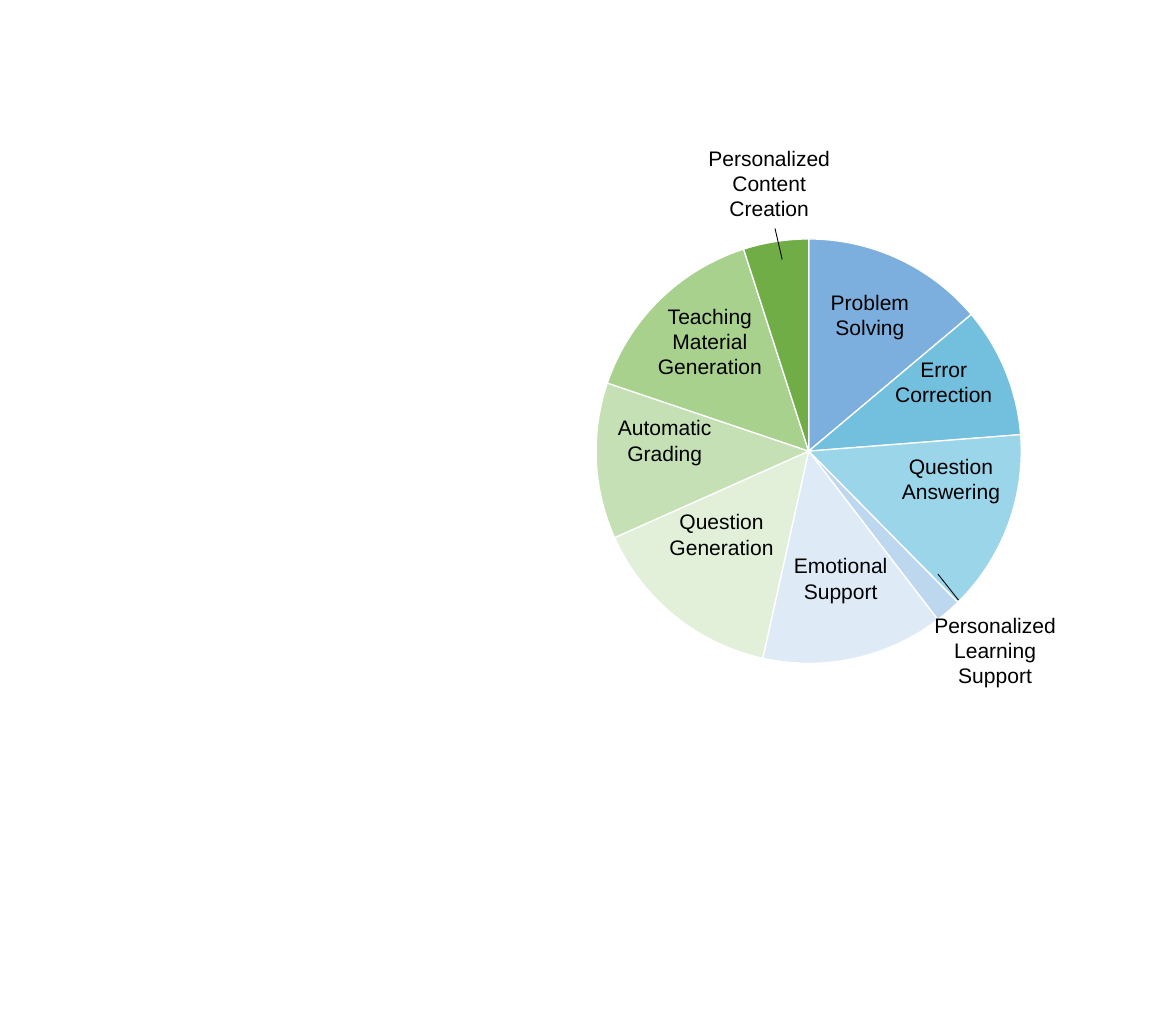
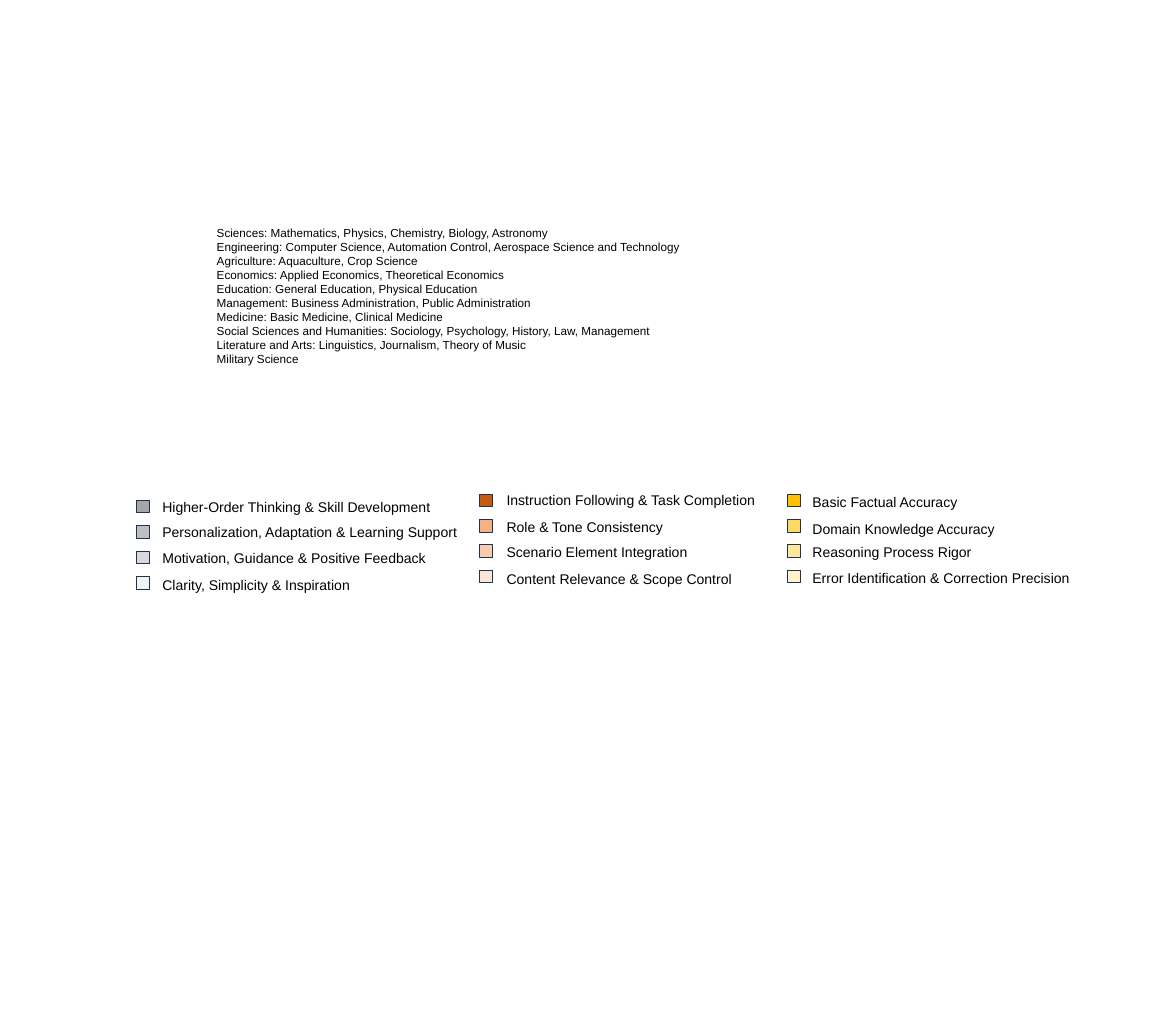
from lxml import etree
from pptx import Presentation
from pptx.chart.data import CategoryChartData
from pptx.dml.color import RGBColor
from pptx.enum.chart import XL_CHART_TYPE
from pptx.enum.shapes import MSO_CONNECTOR, MSO_SHAPE
from pptx.enum.text import MSO_ANCHOR, MSO_AUTO_SIZE, PP_ALIGN
from pptx.oxml.ns import qn
from pptx.util import Cm, Pt

PIE = XL_CHART_TYPE.PIE
STRAIGHT = MSO_CONNECTOR.STRAIGHT
RECTANGLE = MSO_SHAPE.RECTANGLE
TOP = MSO_ANCHOR.TOP
FIT_SHAPE = MSO_AUTO_SIZE.SHAPE_TO_FIT_TEXT
NO_FIT = MSO_AUTO_SIZE.NONE
LEFT, CENTER = PP_ALIGN.LEFT, PP_ALIGN.CENTER

SLIDE_W = Cm(71)
SLIDE_H = Cm(61)
FONT, CHART_FONT = "Arial", "Calibri"
BLACK, WHITE, NAVY = "000000", "FFFFFF", "1E3256"
BODY_LAYOUT, BLANK_LAYOUT = 1, 6

TASK_VALUES = [14, 10, 14, 2, 14, 15, 12, 15, 5]
TASK_COLORS = ["7CAFDE", "73C0DE", "9AD5EA", "BDD7EE", "DEEBF7",
               "E2F0D9", "C5E0B4", "A9D18E", "70AD47"]
TASK_LABELS = [
    ("Problem Solving", 70.05, 28.48, 7.84),
    ("Error Correction", 75.35, 35.05, 9.8),
    ("Question Answering", 73.99, 44.67, 13.74),
    ("Personalized Learning Support", 77.89, 60.41, 13.45),
    ("Emotional Support", 64.76, 54.54, 13.45),
    ("Question Generation", 54.63, 50.17, 13.45),
    ("Automatic Grading", 49.8, 40.88, 13.45),
    ("Teaching Material Generation", 55.03, 29.81, 10.66),
    ("Personalized Content Creation", 58.68, 14.2, 13.45),
]
LEADERS = [(65.9, 22.61, 66.51, 25.69), (79.75, 56.83, 81.5, 59.41)]

DISCIPLINES = [
    "Sciences: Mathematics, Physics, Chemistry, Biology, Astronomy",
    "Engineering: Computer Science, Automation Control, Aerospace Science and Technology",
    "Agriculture: Aquaculture, Crop Science",
    "Economics: Applied Economics, Theoretical Economics",
    "Education: General Education, Physical Education",
    "Management: Business Administration, Public Administration",
    "Medicine: Basic Medicine, Clinical Medicine",
    "Social Sciences and Humanities: Sociology, Psychology, History, Law, Management",
    "Literature and Arts: Linguistics, Journalism, Theory of Music",
    "Military Science",
]

LEGEND_COLUMNS = [
    (11.63, 13.45, 49.52, 31.66, [
        ("Higher-Order Thinking & Skill Development", "A6A6A6", 49.13),
        ("Personalization, Adaptation & Learning Support", "BFBFBF", 51.62),
        ("Motivation, Guidance & Positive Feedback", "D9D9D9", 54.16),
        ("Clarity, Simplicity & Inspiration", "F2F2F2", 56.87)]),
    (40.79, 42.72, 48.92, 28.48, [
        ("Instruction Following & Task Completion", "C55A11", 48.46),
        ("Role & Tone Consistency", "F4B183", 51.08),
        ("Scenario Element Integration", "F8CBAD", 53.62),
        ("Content Relevance & Scope Control", "FBE5D6", 56.24)]),
    (66.98, 68.73, 48.92, 26.62, [
        ("Basic Factual Accuracy", "FFC000", 48.63),
        ("Domain Knowledge Accuracy", "FFD966", 51.29),
        ("Reasoning Process Rigor", "FFE699", 53.62),
        ("Error Identification & Correction Precision", "FFF2CC", 56.16)]),
]
LEGEND_PITCH = 2.51
SWATCH_W, SWATCH_H = 1.11, 1.25
LEGEND_TEXT_H = 2.08


def rgb(hex_color):
    return RGBColor.from_string(hex_color)


def share(x, y, w, h):
    return (int(SLIDE_W * x / 100), int(SLIDE_H * y / 100),
            int(SLIDE_W * w / 100), int(SLIDE_H * h / 100))


def set_line(line, color, width):
    line.color.rgb = rgb(color)
    line.width = Pt(width)


def format_text(tf, size, align):
    for p in tf.paragraphs:
        p.alignment = align
        for r in p.runs:
            r.font.name = FONT
            r.font.size = Pt(size)
            r.font.color.rgb = rgb(BLACK)


def add_text(slide, text, area, size, align=LEFT):
    tf = slide.shapes.add_textbox(*share(*area)).text_frame
    tf.word_wrap = True
    tf.auto_size = FIT_SHAPE
    tf.text = text
    format_text(tf, size, align)


def add_list(slide, items, area, size):
    title = slide.shapes.title.element
    title.getparent().remove(title)
    sp = slide.placeholders[1]
    sp.left, sp.top, sp.width, sp.height = share(*area)
    tf = sp.text_frame
    tf.text = "\n".join(items)
    tf.auto_size = NO_FIT
    tf.vertical_anchor = TOP
    format_text(tf, size, LEFT)
    for p in tf.paragraphs:
        p.space_before = Pt(0)
        pPr = p._p.get_or_add_pPr()
        pPr.set("marL", "0")
        pPr.set("indent", "0")
        etree.SubElement(pPr, qn("a:buNone"))


def add_swatch(slide, area, color):
    sp = slide.shapes.add_shape(RECTANGLE, *share(*area))
    sp.shadow.inherit = False
    sp.fill.solid()
    sp.fill.fore_color.rgb = rgb(color)
    set_line(sp.line, NAVY, 1)


def add_leader(slide, ends):
    line = slide.shapes.add_connector(STRAIGHT, *share(*ends))
    set_line(line.line, BLACK, 1.5)
    etree.SubElement(line.element.spPr, qn("a:effectLst"))


def place_plot(chart, x, y, w, h):
    plot_area = chart.element.find(".//" + qn("c:plotArea"))
    for old in plot_area.findall(qn("c:layout")):
        plot_area.remove(old)
    layout = etree.Element(qn("c:layout"))
    manual = etree.SubElement(layout, qn("c:manualLayout"))
    settings = [("layoutTarget", "inner"), ("xMode", "edge"), ("yMode", "edge"),
                ("x", x), ("y", y), ("w", w), ("h", h)]
    for name, value in settings:
        etree.SubElement(manual, qn("c:" + name)).set("val", str(value))
    plot_area.insert(0, layout)


def add_pie(slide, values, colors, area):
    data = CategoryChartData()
    data.categories = [str(n) for n in range(1, len(values) + 1)]
    data.add_series("Series 1", values)
    chart = slide.shapes.add_chart(PIE, *share(*area), data).chart
    chart.has_title = False
    chart.has_legend = False
    chart.font.name = CHART_FONT
    chart.font.size = Pt(10)
    chart.font.color.rgb = rgb(BLACK)
    plot = chart.plots[0]
    plot.vary_by_categories = True
    for i, color in enumerate(colors):
        fmt = plot.series[0].points[i].format
        fmt.fill.solid()
        fmt.fill.fore_color.rgb = rgb(color)
        set_line(fmt.line, WHITE, 2.25)
    place_plot(chart, 0, 0.03, 0.98, 0.97)


def add_legend_column(slide, swatch_x, text_x, top, text_w, entries):
    for row, (text, color, text_y) in enumerate(entries):
        y = top + row * LEGEND_PITCH
        add_swatch(slide, (swatch_x, y, SWATCH_W, SWATCH_H), color)
        add_text(slide, text, (text_x, text_y, text_w, LEGEND_TEXT_H), 24)


def build_tasks(prs):
    slide = prs.slides.add_slide(prs.slide_layouts[BLANK_LAYOUT])
    add_pie(slide, TASK_VALUES, TASK_COLORS, (42.61, 22.36, 53.38, 43.38))
    for text, x, y, w in TASK_LABELS:
        h = 0.42 + 2.53 * len(text.split())
        add_text(slide, text, (x, y, w, h), 36, CENTER)
    for ends in LEADERS:
        add_leader(slide, ends)


def build_criteria(prs):
    slide = prs.slides.add_slide(prs.slide_layouts[BODY_LAYOUT])
    for column in LEGEND_COLUMNS:
        add_legend_column(slide, *column)
    add_list(slide, DISCIPLINES, (18.07, 22.15, 49.98, 14.45), 20)


def main():
    prs = Presentation()
    prs.slide_width = SLIDE_W
    prs.slide_height = SLIDE_H
    prs.element.find(qn("p:sldSz")).attrib.pop("type", None)
    build_tasks(prs)
    build_criteria(prs)
    prs.save("out.pptx")


if __name__ == "__main__":
    main()
